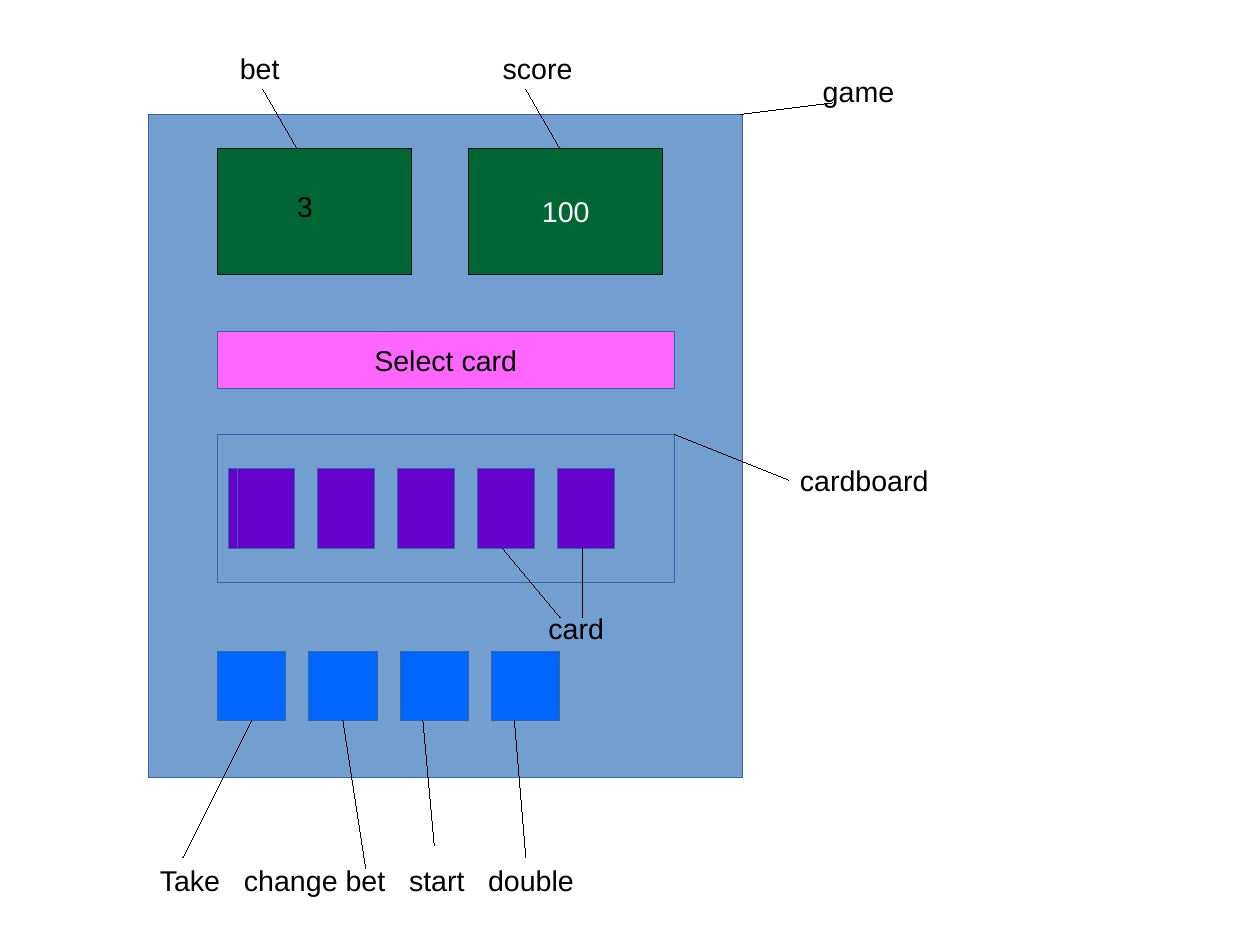
import pptx
import pptx.util
import pptx.dml.color
import pptx.enum.shapes
import pptx.enum.text
import pptx.oxml.ns
import lxml.etree

Pt = pptx.util.Pt
RGBColor = pptx.dml.color.RGBColor
MSO_SHAPE = pptx.enum.shapes.MSO_SHAPE
MSO_CONNECTOR = pptx.enum.shapes.MSO_CONNECTOR
PP_ALIGN = pptx.enum.text.PP_ALIGN
MSO_ANCHOR = pptx.enum.text.MSO_ANCHOR
MSO_AUTO_SIZE = pptx.enum.text.MSO_AUTO_SIZE
qn = pptx.oxml.ns.qn

BLACK = RGBColor(0x00, 0x00, 0x00)
WHITE = RGBColor(0xFF, 0xFF, 0xFF)
BOARD_BLUE = RGBColor(0x72, 0x9F, 0xCF)
OUTLINE_BLUE = RGBColor(0x34, 0x65, 0xA4)
DISPLAY_GREEN = RGBColor(0x00, 0x66, 0x33)
DISPLAY_OUTLINE = RGBColor(0x11, 0x11, 0x11)
MESSAGE_PINK = RGBColor(0xFF, 0x66, 0xFF)
CARD_PURPLE = RGBColor(0x66, 0x00, 0xCC)
BUTTON_BLUE = RGBColor(0x00, 0x66, 0xFF)
HAIRLINE = Pt(0.01)  # a width of zero would fall back to the theme

presentation = pptx.Presentation()
presentation.slide_width = Pt(793.7)
presentation.slide_height = Pt(595.28)
slide = presentation.slides.add_slide(presentation.slide_layouts[6])


def add_box(left, top, width, height, fill, outline=OUTLINE_BLUE, text="", color=BLACK):
    shape = slide.shapes.add_shape(
        MSO_SHAPE.RECTANGLE, Pt(left), Pt(top), Pt(width), Pt(height))
    shape.shadow.inherit = False
    shape.fill.solid()
    shape.fill.fore_color.rgb = fill
    shape.line.color.rgb = outline
    shape.line.width = HAIRLINE
    if text:
        frame = shape.text_frame
        frame.word_wrap = False
        frame.vertical_anchor = MSO_ANCHOR.MIDDLE
        paragraph = frame.paragraphs[0]
        paragraph.text = text
        paragraph.alignment = PP_ALIGN.CENTER
        paragraph.font.name = "Arial"
        paragraph.font.size = Pt(18)
        paragraph.font.color.rgb = color
    return shape


def add_label(text, left, top, width, height=27.36, wrap=True, tab_stops=()):
    frame = slide.shapes.add_textbox(
        Pt(left), Pt(top), Pt(width), Pt(height)).text_frame
    frame.word_wrap = wrap
    frame.auto_size = MSO_AUTO_SIZE.SHAPE_TO_FIT_TEXT
    paragraph = frame.paragraphs[0]
    paragraph.text = text
    if tab_stops:
        properties = paragraph._p.get_or_add_pPr()
        tab_list = lxml.etree.SubElement(properties, qn("a:tabLst"))
        for position in tab_stops:
            lxml.etree.SubElement(
                tab_list, qn("a:tab"), pos=str(Pt(position)), algn="l")
    paragraph.font.name = "Arial"
    paragraph.font.size = Pt(18)
    paragraph.font.color.rgb = BLACK


# Game panel with the bet and score displays
add_box(93.6, 72, 374.4, 417.6, BOARD_BLUE)
add_box(136.8, 93.6, 122.4, 79.2, DISPLAY_GREEN, DISPLAY_OUTLINE)
add_box(295.2, 93.6, 122.4, 79.2, DISPLAY_GREEN, DISPLAY_OUTLINE, "100", WHITE)
add_label("3", 180, 115.2, 24.48, wrap=False)

# Message bar and cardboard
add_box(136.8, 208.8, 288, 36, MESSAGE_PINK, text="Select card")
add_box(136.8, 273.6, 288, 93.6, BOARD_BLUE)

# Cards: one tucked behind the first of five
for card_left in [144] + [149.76 + 50.4 * index for index in range(5)]:
    add_box(card_left, 295.2, 36, 50.4, CARD_PURPLE)

# Buttons
buttons = [add_box(136.8 + 57.6 * index, 410.4, 43.2, 43.2, BUTTON_BLUE)
           for index in range(4)]

# Labels
for text, left, top, width in [
    ("game", 511.2, 43.2, 201.6),
    ("bet", 144, 28.8, 108),
    ("score", 309.6, 28.8, 136.8),
    ("card", 338.4, 381.6, 93.6),
    ("cardboard", 496.8, 288, 115.2),
]:
    add_label(text, left, top, width)
add_label("Take\tchange bet\tstart\tdouble", 93.6, 540, 381.6, 47.52,
          tab_stops=(53, 157, 206.8))

# Leader lines: start, end, and the button whose bottom middle the end joins
for x1, y1, x2, y2, button in [
    (187.2, 93.6, 165.6, 56.16, None),  # bet
    (352.8, 93.6, 331.2, 56.16, None),  # score
    (466.56, 72, 524.16, 64.8, None),  # game
    (496.8, 302.4, 424.8, 273.6, None),  # cardboard
    (367.2, 388.8, 367.2, 345.6, None),  # last card
    (352.8, 388.8, 316.8, 345.6, None),  # fourth card
    (115.2, 540, 158.4, 453.6, buttons[0]),  # Take
    (230.4, 547.2, 216, 453.6, buttons[1]),  # change bet
    (273.6, 532.8, 266.4, 453.6, None),  # start
    (331.2, 540, 324, 453.6, None),  # double
]:
    leader = slide.shapes.add_connector(
        MSO_CONNECTOR.STRAIGHT, Pt(x1), Pt(y1), Pt(x2), Pt(y2))
    leader.line.color.rgb = BLACK
    leader.line.width = HAIRLINE
    lxml.etree.SubElement(leader._element.spPr, qn("a:effectLst"))
    if button is not None:
        leader.end_connect(button, 2)

presentation.save("out.pptx")
